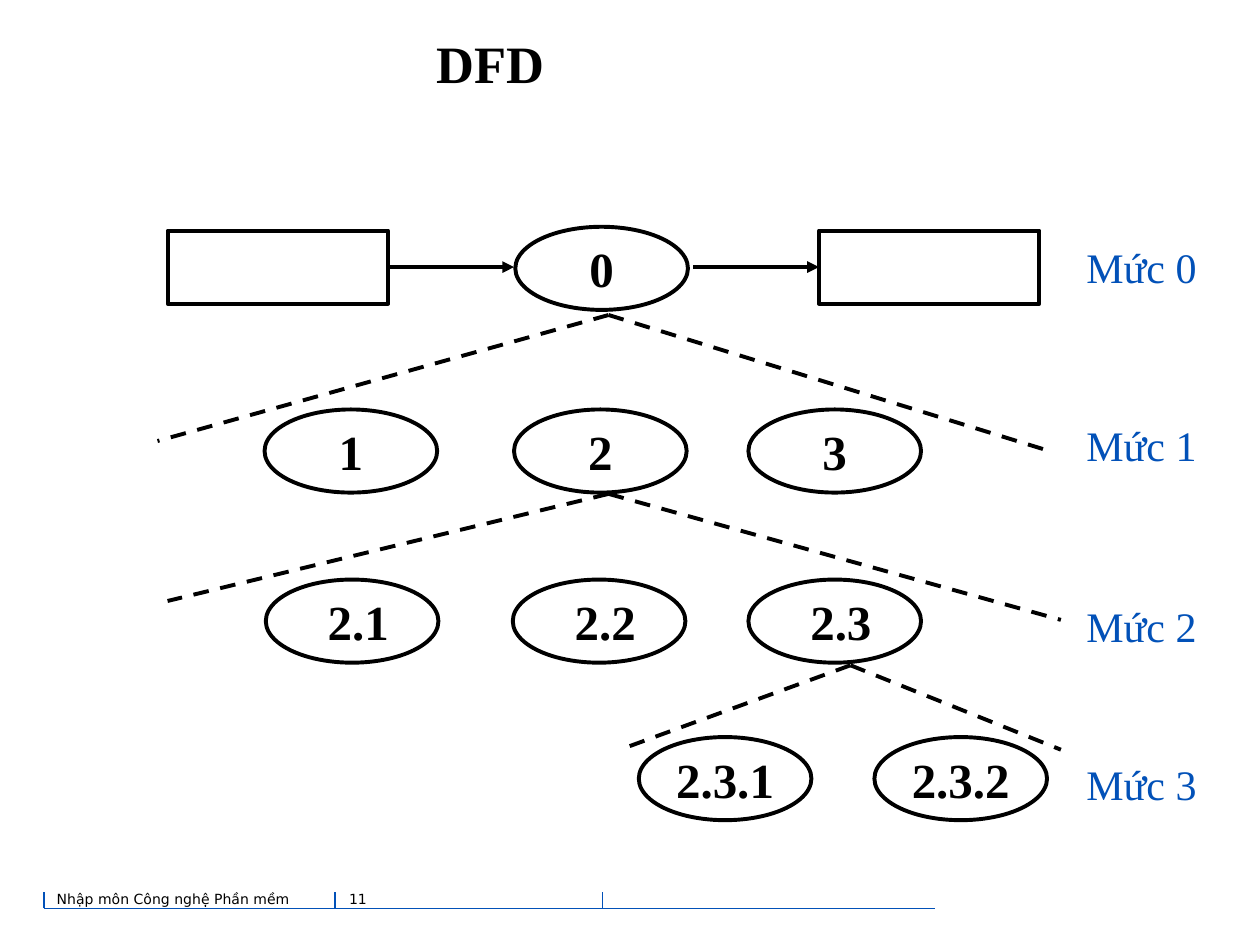
from lxml import etree
from pptx import Presentation
from pptx import util as u
from pptx.dml.color import RGBColor
from pptx.enum import dml, shapes, text
from pptx.oxml.ns import qn

BLACK = RGBColor(0x00, 0x00, 0x00)
BLUE = RGBColor(0x02, 0x51, 0xB8)
SERIF, SANS = "Times New Roman", "DejaVu Sans"
BUBBLE_W, BUBBLE_H = 1.37, 0.66
BOX_W, BOX_H = 1.75, 0.58
BOX_TOP = 1.83
FLOW_Y = BOX_TOP + BOX_H / 2


def write(sp, words, size=28, font=SERIF, color=BLACK, bold=False, wrap=False,
          align=text.PP_ALIGN.CENTER, anchor=text.MSO_ANCHOR.MIDDLE, inset=0, left=None):
    tf = sp.text_frame
    tf.auto_size = text.MSO_AUTO_SIZE.NONE
    tf.word_wrap = wrap
    tf.vertical_anchor = anchor
    tf.margin_top = tf.margin_right = tf.margin_bottom = u.Inches(inset)
    tf.margin_left = u.Inches(inset if left is None else left)
    p = tf.paragraphs[0]
    p.alignment = align
    r = p.add_run()
    r.text = words
    r.font.size, r.font.name, r.font.bold = u.Pt(size), font, bold
    r.font.color.rgb = color


class Diagram:
    def __init__(self, slide, color=BLACK, width=2.25):
        self.s = slide
        self.color = color
        self.width = width

    def title(self, words, *at):
        sp = self.s.shapes.title
        sp.left, sp.top, sp.width, sp.height = map(u.Inches, at)
        write(sp, words, size=30, bold=True, wrap=True)

    def label(self, words, *at, **style):
        sp = self.s.shapes.add_textbox(*map(u.Inches, at))
        write(sp, words, **style)

    def outline(self, kind, *at):
        sp = self.s.shapes.add_shape(kind, *map(u.Inches, at))
        sp.shadow.inherit = False
        sp.fill.background()
        sp.line.color.rgb = self.color
        sp.line.width = u.Pt(self.width)
        return sp

    def entity(self, left):
        return self.outline(shapes.MSO_SHAPE.RECTANGLE, left, BOX_TOP, BOX_W, BOX_H)

    def process(self, name, left, top, indent=0):
        sp = self.outline(shapes.MSO_SHAPE.OVAL, left, top, BUBBLE_W, BUBBLE_H)
        write(sp, name, bold=True, left=indent)

    def line(self, start, end, color=None, width=None, dashed=False, arrow=False):
        c = self.s.shapes.add_connector(
            shapes.MSO_CONNECTOR.STRAIGHT, *map(u.Inches, (*start, *end)))
        c.line.color.rgb = color or self.color
        c.line.width = u.Pt(width or self.width)
        if dashed:
            c.line.dash_style = dml.MSO_LINE.DASH
        if arrow:
            etree.SubElement(c.line._get_or_add_ln(), qn("a:tailEnd"), type="triangle")
        etree.SubElement(c._element.spPr, qn("a:effectLst"))
        return c

    def footer(self, course, number):
        base, tick = 7.21, 7.08
        self.line((7.42, base), (0.35, base), BLUE, 0.75)
        for x in (0.35, 2.66, 4.78):
            self.line((x, base), (x, tick), BLUE, 0.75)
        for words, left, width in ((course, 0.41, 2.19), (number, 2.73, 1.25)):
            self.label(words, left, 7.03, width, 0.25, size=8, font=SANS, wrap=True,
                       align=text.PP_ALIGN.LEFT, anchor=text.MSO_ANCHOR.TOP, inset=0.04)


def main():
    prs = Presentation()
    prs.slide_width, prs.slide_height = u.Inches(10), u.Inches(7.5)
    d = Diagram(prs.slides.add_slide(prs.slide_layouts[5]))

    d.footer("Nhập môn Công nghệ Phần mềm", "11")
    d.title("DFD", 0.35, 0.07, 7.08, 0.85)

    source, sink = d.entity(1.33), d.entity(6.5)
    d.line((3.08, FLOW_Y), (4.08, FLOW_Y), arrow=True).begin_connect(source, 3)
    d.line((5.5, FLOW_Y), (6.5, FLOW_Y), arrow=True).end_connect(sink, 1)

    # each level: top, text indent, processes with their left edges
    levels = [
        (1.8, 0, {"0": 4.09}),
        (3.25, 0, {"1": 2.1, "2": 4.08, "3": 5.94}),
        (4.6, 0.1, {"2.1": 2.11, "2.2": 4.07, "2.3": 5.94}),
        (5.85, 0, {"2.3.1": 5.07, "2.3.2": 6.94}),
    ]
    for top, indent, processes in levels:
        for name, left in processes.items():
            d.process(name, left, top, indent)

    # each expansion: apex, left end, right end
    expansions = [
        ((4.83, 2.5), (1.25, 3.5), (8.33, 3.58)),
        ((4.83, 3.92), (1.33, 4.77), (8.42, 4.92)),
        ((6.75, 5.28), (4.92, 5.95), (8.42, 5.95)),
    ]
    for apex, *ends in expansions:
        for end in ends:
            d.line(apex, end, dashed=True)

    for level, top in enumerate((1.92, 3.33, 4.77, 6.02)):
        d.label(f"Mức {level}", 8.62, top, 0.88, 0.4, size=24, color=BLUE,
                anchor=text.MSO_ANCHOR.TOP)

    prs.save("out.pptx")


if __name__ == "__main__":
    main()
